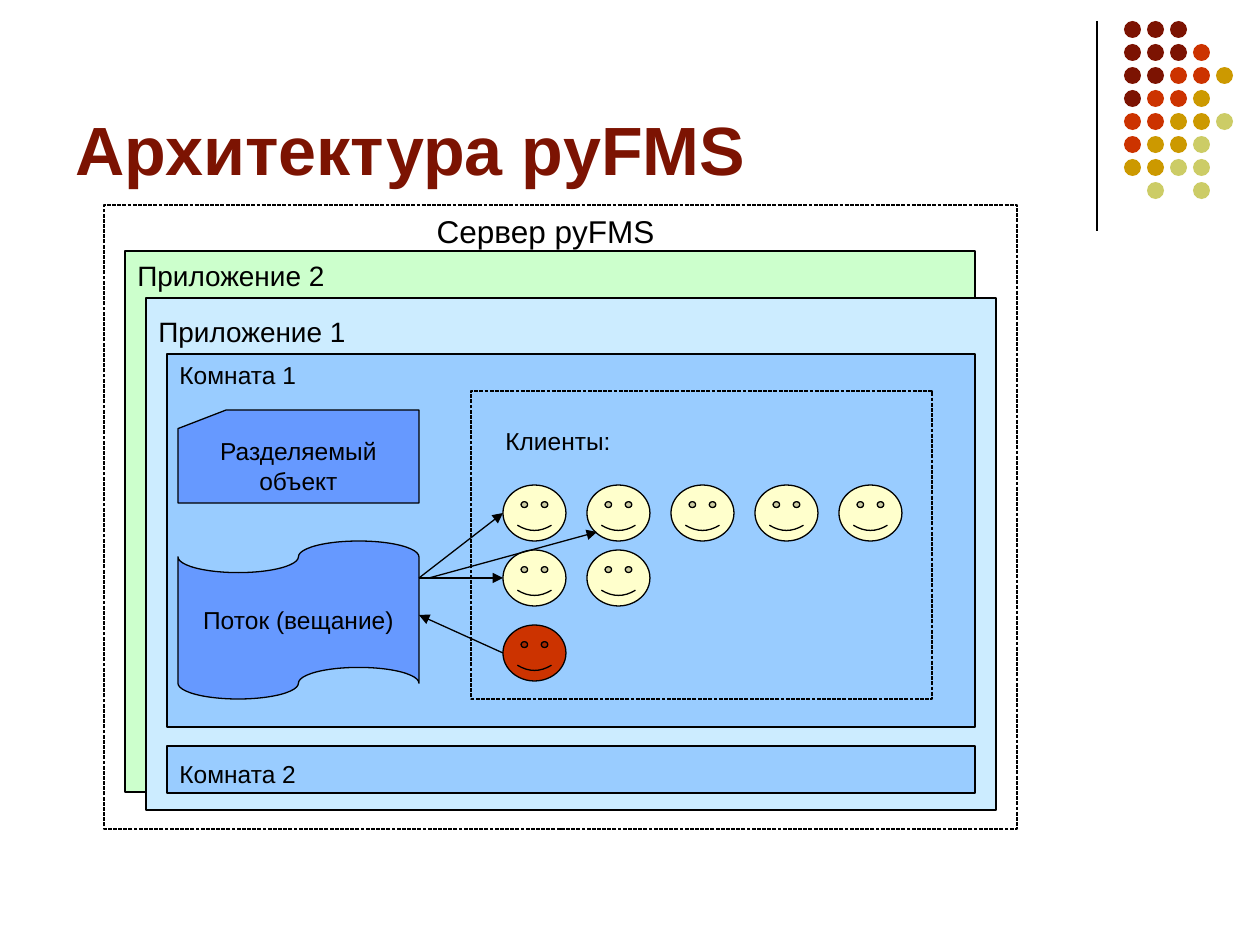
from lxml.etree import SubElement
from pptx import Presentation
from pptx.dml.color import RGBColor
from pptx.enum.dml import MSO_LINE
from pptx.enum.shapes import MSO_CONNECTOR, MSO_SHAPE
from pptx.enum.text import MSO_ANCHOR, PP_ALIGN
from pptx.oxml.ns import qn
from pptx.util import Emu, Pt

BLACK = RGBColor(0x00, 0x00, 0x00)
MAROON = RGBColor(0x7C, 0x13, 0x02)
RED = RGBColor(0xCC, 0x33, 0x00)
GOLD = RGBColor(0xCC, 0x99, 0x00)
OLIVE = RGBColor(0xCC, 0xCC, 0x66)
GREEN = RGBColor(0xCC, 0xFF, 0xCC)
PALE_BLUE = RGBColor(0xCC, 0xEC, 0xFF)
LIGHT_BLUE = RGBColor(0x99, 0xCC, 0xFF)
BLUE = RGBColor(0x66, 0x99, 0xFF)
CREAM = RGBColor(0xFF, 0xFF, 0xCC)

DOT_COLORS = {"M": MAROON, "R": RED, "G": GOLD, "O": OLIVE}
DOT_ROWS = ["MMM", "MMMR", "MMRRG", "MRRG", "RRGGO", "RGGO", "GGOO", " O O"]


def px(n):
    return Emu(round(n * 914400 / 126))


class Deck:
    font = "Arial"
    line_width = Pt(0.75)

    def __init__(self):
        self.prs = Presentation()
        self.prs.slide_width, self.prs.slide_height = px(1260), px(945)
        self.s = self.prs.slides.add_slide(self.prs.slide_layouts[5])

    def add_text(self, sp, lines, size, color=BLACK, align=PP_ALIGN.LEFT,
                 anchor=MSO_ANCHOR.TOP, bold=False, wrap=True):
        tf = sp.text_frame
        tf.word_wrap = wrap
        tf.vertical_anchor = anchor
        for i, line in enumerate(lines):
            p = tf.add_paragraph() if i else tf.paragraphs[0]
            p.alignment = align
            r = p.add_run()
            r.text = line
            r.font.name, r.font.size, r.font.bold = self.font, Pt(size), bold
            r.font.color.rgb = color

    def title(self, text, x, y, w, h):
        sp = self.s.shapes.title
        sp.left, sp.top, sp.width, sp.height = px(x), px(y), px(w), px(h)
        self.add_text(sp, [text], 39, MAROON, anchor=MSO_ANCHOR.BOTTOM, bold=True)

    def label(self, text, x, y, w, h, size, align=PP_ALIGN.LEFT):
        sp = self.s.shapes.add_textbox(px(x), px(y), px(w), px(h))
        self.add_text(sp, [text], size, align=align)

    def shape(self, kind, x, y, w, h, fill=None, outline=True, dashed=False, lines=()):
        sp = self.s.shapes.add_shape(kind, px(x), px(y), px(w), px(h))
        sp.shadow.inherit = False
        if fill is None:
            sp.fill.background()
        else:
            sp.fill.solid()
            sp.fill.fore_color.rgb = fill
        if outline:
            sp.line.color.rgb = BLACK
            sp.line.width = self.line_width
        else:
            sp.line.fill.background()
        if dashed:
            sp.line.dash_style = MSO_LINE.SQUARE_DOT
        if lines:
            self.add_text(sp, lines, 14, align=PP_ALIGN.CENTER,
                          anchor=MSO_ANCHOR.MIDDLE, wrap=False)

    def line(self, x1, y1, x2, y2, arrow=False):
        c = self.s.shapes.add_connector(MSO_CONNECTOR.STRAIGHT, px(x1), px(y1), px(x2), px(y2))
        c.line.color.rgb = BLACK
        c.line.width = self.line_width
        spPr = c._element.spPr
        if arrow:
            SubElement(spPr.find(qn("a:ln")), qn("a:tailEnd"), type="triangle")
        SubElement(spPr, qn("a:effectLst"))

    def dots(self, x, y, pitch, size):
        for row, codes in enumerate(DOT_ROWS):
            for col, code in enumerate(codes):
                if code in DOT_COLORS:
                    self.shape(MSO_SHAPE.OVAL, x + col * pitch, y + row * pitch, size, size,
                               DOT_COLORS[code], outline=False)

    def client(self, x, y, fill=CREAM):
        self.shape(MSO_SHAPE.SMILEY_FACE, x, y, 63, 56, fill)


def main():
    d = Deck()
    d.line(1097, 21, 1097, 231)
    d.dots(1124, 21, 23, 17)
    d.title("Архитектура pyFMS", 63, 16, 1040, 179)

    d.shape(MSO_SHAPE.RECTANGLE, 104, 205, 913, 624, dashed=True)
    d.shape(MSO_SHAPE.RECTANGLE, 125, 251, 850, 541, GREEN)
    d.label("Приложение 2", 125, 252, 315, 47, 16)
    d.shape(MSO_SHAPE.RECTANGLE, 146, 298, 850, 512, PALE_BLUE)
    d.label("Приложение 1", 146, 308, 609, 47, 16)
    d.shape(MSO_SHAPE.RECTANGLE, 167, 746, 808, 47, LIGHT_BLUE)
    d.shape(MSO_SHAPE.RECTANGLE, 167, 354, 808, 373, LIGHT_BLUE)
    d.label("Сервер pyFMS", 126, 206, 839, 50, 18, PP_ALIGN.CENTER)
    d.label("Комната 1", 167, 354, 209, 43, 14)
    d.label("Комната 2", 167, 753, 199, 43, 14)

    d.shape(MSO_SHAPE.FLOWCHART_CARD, 178, 410, 241, 93, BLUE, lines=["Разделяемый", "объект"])
    d.shape(MSO_SHAPE.FLOWCHART_PUNCHED_TAPE, 178, 541, 241, 158, BLUE, lines=["Поток (вещание)"])

    d.shape(MSO_SHAPE.RECTANGLE, 471, 391, 461, 308, dashed=True)
    d.label("Клиенты:", 493, 420, 378, 43, 14)
    for y, count in [(485, 5), (550, 2)]:
        for i in range(count):
            d.client(503 + 84 * i, y)
    d.client(503, 625, RED)

    for ends in [(503, 653, 419, 615), (419, 578, 503, 513),
                 (419, 578, 503, 578), (429, 578, 597, 532)]:
        d.line(*ends, arrow=True)

    d.prs.save("out.pptx")


if __name__ == "__main__":
    main()
